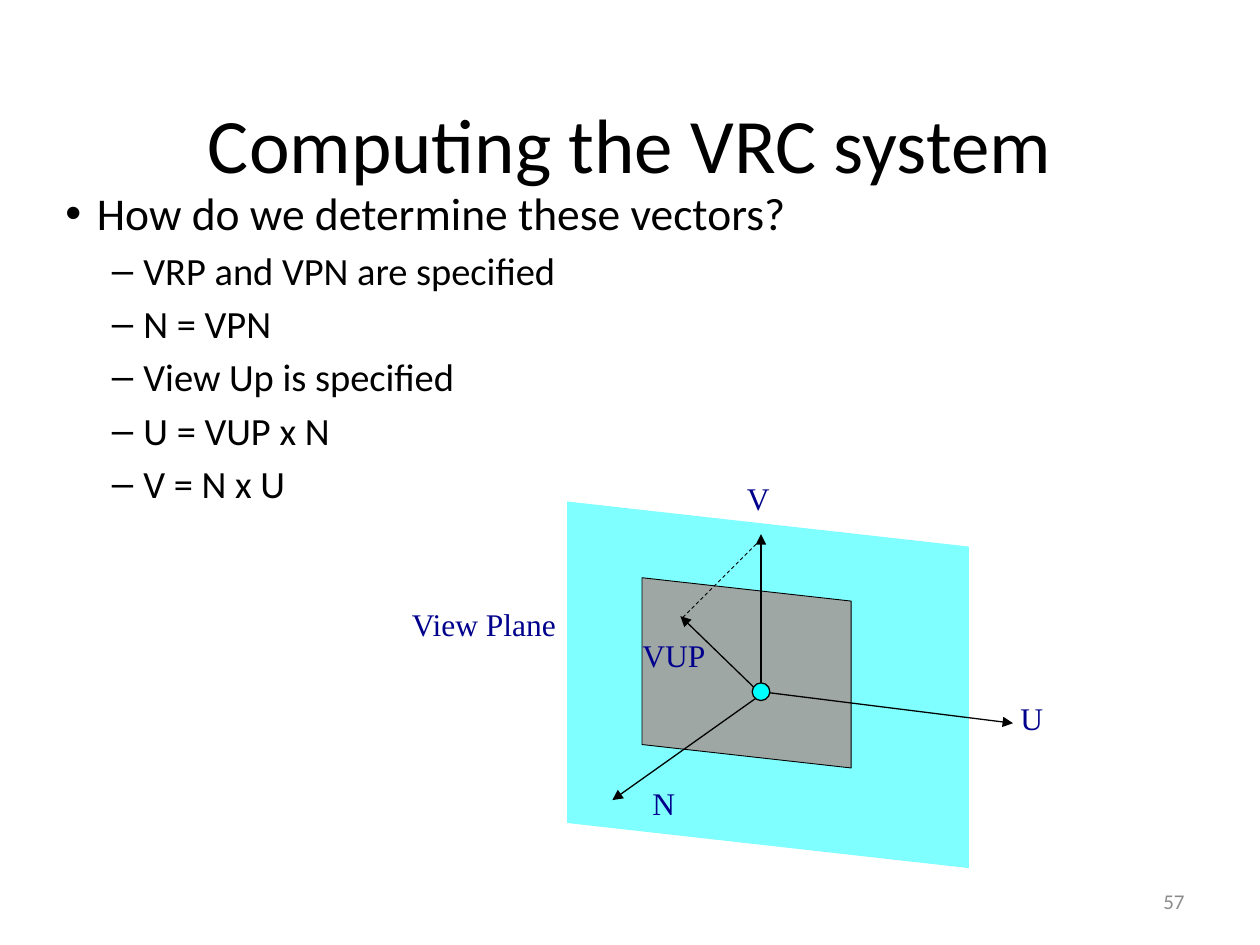
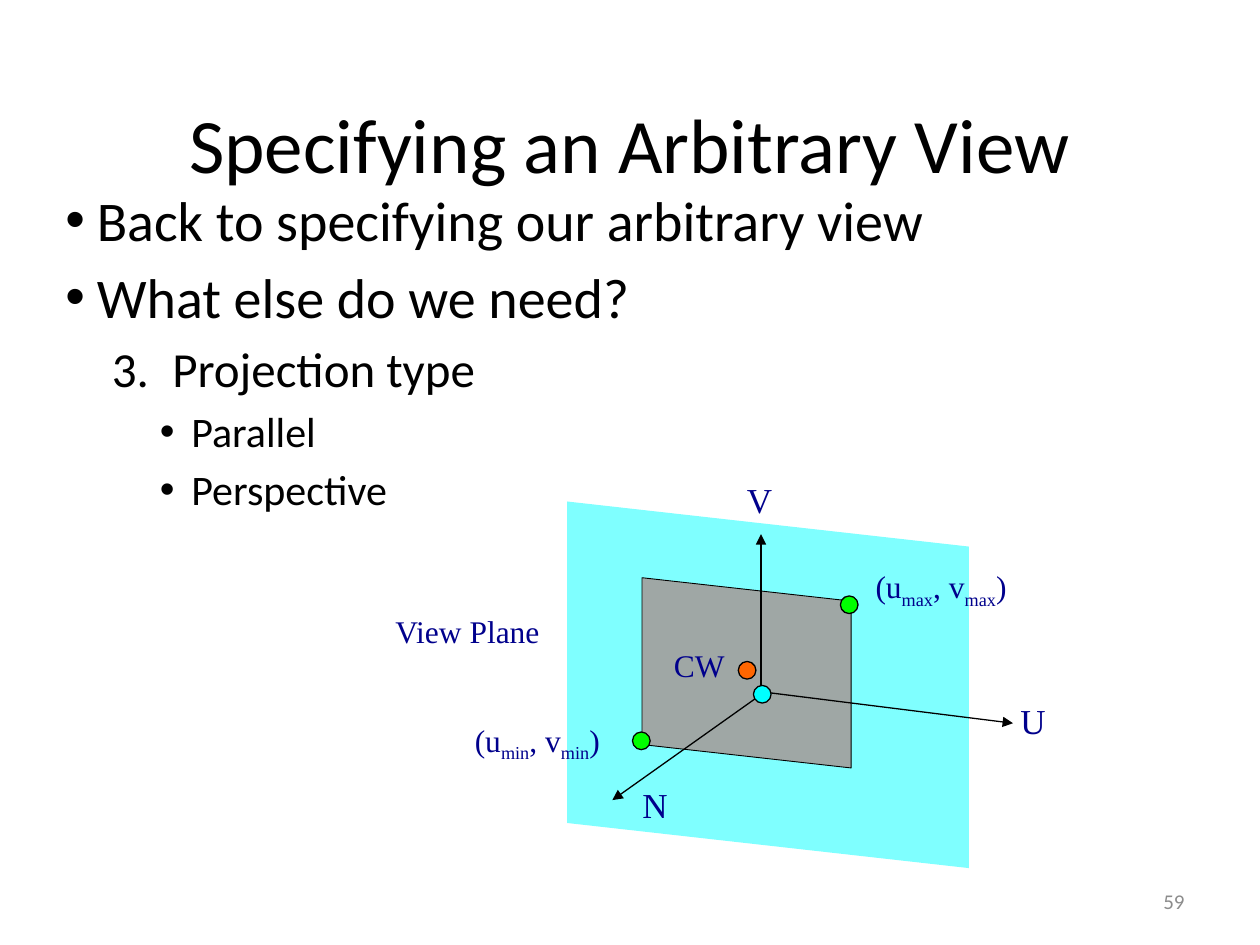
from dataclasses import dataclass

from lxml.etree import SubElement
from pptx import Presentation
from pptx.dml.color import RGBColor
from pptx.enum.dml import MSO_LINE
from pptx.enum.shapes import MSO_CONNECTOR, MSO_SHAPE
from pptx.enum.text import MSO_ANCHOR, MSO_AUTO_SIZE, PP_ALIGN
from pptx.oxml.ns import qn
from pptx.util import Inches, Pt


@dataclass(frozen=True)
class Theme:
    """Fonts, colours and type sizes shared by the slides."""

    body_font: str = "Calibri"
    label_font: str = "Times New Roman"
    ink: str = "000000"
    label: str = "00008C"
    muted: str = "8C8C8C"
    plane: str = "00FFFF"
    window: str = "C0504D"
    corner: str = "00FF00"
    center: str = "FF6600"
    title_size: int = 44
    label_size: int = 18
    axis_size: int = 20
    number_size: int = 12
    thin: float = 0.5
    medium: float = 0.75
    paragraph_gap: float = 0.185


THEME = Theme()
ORIGIN = (6.04, 5.49)
AXIS_ENDS = (((6.03, 5.52), (4.86, 6.35)), (ORIGIN, (6.04, 4.24)), (ORIGIN, (8.04, 5.74)))
AXIS_LABELS = (("N", 6.17), ("V", 3.75), ("U", 5.5))
BULLET_STYLES = {
    "bullet": (0, "•", 0.25, -0.25),
    "dash": (1, "–", 0.62, -0.25),
    "number": (1, None, 0.85, -0.48),
    "sub": (2, "•", 1, -0.25),
}


def color(value):
    """Return the colour for a hexadecimal string."""
    return RGBColor.from_string(value)


def write_text(paragraph, text, *, size, font=THEME.body_font, fill=THEME.ink,
               align=PP_ALIGN.LEFT, baseline=0):
    """Add one formatted run to a paragraph."""
    paragraph.alignment = align
    run = paragraph.add_run()
    run.text = text
    run.font.size = Pt(size)
    run.font.name = font
    run.font.color.rgb = color(fill)
    if baseline:
        run.font._element.set("baseline", str(baseline * 1000))


def add_box(slide, left, top, width, height, wrap=True):
    """Add a text box and return its text frame."""
    box = slide.shapes.add_textbox(Inches(left), Inches(top), Inches(width), Inches(height))
    box.text_frame.word_wrap = wrap
    return box.text_frame


def add_title(slide, text):
    """Place and fill the title placeholder."""
    title = slide.shapes.title
    title.left, title.top = Inches(0.5), Inches(0.3)
    title.width, title.height = Inches(9), Inches(1.25)
    frame = title.text_frame
    frame.auto_size = MSO_AUTO_SIZE.NONE
    frame.vertical_anchor = MSO_ANCHOR.BOTTOM
    write_text(frame.paragraphs[0], text, size=THEME.title_size, align=PP_ALIGN.CENTER)


def add_slide_number(slide, number):
    """Write the slide number at the bottom right."""
    frame = add_box(slide, 7.17, 6.95, 2.33, 0.4)
    frame.vertical_anchor = MSO_ANCHOR.MIDDLE
    write_text(frame.paragraphs[0], str(number), size=THEME.number_size,
               fill=THEME.muted, align=PP_ALIGN.RIGHT)


def set_bullet(paragraph, style):
    """Give a paragraph its level, indent and bullet."""
    level, character, margin, indent = BULLET_STYLES[style]
    paragraph.level = level
    properties = paragraph._p.get_or_add_pPr()
    properties.set("marL", str(Inches(margin)))
    properties.set("indent", str(Inches(indent)))
    if character:
        SubElement(properties, qn("a:buFont"), typeface="Arial")
        SubElement(properties, qn("a:buChar"), char=character)
    else:
        SubElement(properties, qn("a:buNone"))


def add_outline(slide, items):
    """Add the indented list of (style, size, text) items."""
    frame = add_box(slide, 0.42, 1.42, 9.08, 2.93)
    for index, (style, size, text) in enumerate(items):
        paragraph = frame.add_paragraph() if index else frame.paragraphs[0]
        set_bullet(paragraph, style)
        if index:
            paragraph.space_before = Pt(size * THEME.paragraph_gap)
        write_text(paragraph, text, size=size)


def add_label(slide, text, left, top, width, size=THEME.label_size):
    """Add a diagram label; odd pieces between underscores are subscripts."""
    frame = add_box(slide, left, top, width, 0.4, wrap=False)
    frame.auto_size = MSO_AUTO_SIZE.SHAPE_TO_FIT_TEXT
    for index, piece in enumerate(text.split("_")):
        write_text(frame.paragraphs[0], piece, size=size, font=THEME.label_font,
                   fill=THEME.label, baseline=-25 if index % 2 else 0)


def add_filled_shape(slide, kind, left, top, width, height, fill, line_width=None):
    """Add a preset shape with a plain fill and an optional outline."""
    shape = slide.shapes.add_shape(kind, Inches(left), Inches(top), Inches(width), Inches(height))
    shape.shadow.inherit = False
    shape.fill.solid()
    shape.fill.fore_color.rgb = color(fill)
    if line_width:
        shape.line.color.rgb = color(THEME.ink)
        shape.line.width = Pt(line_width)
    else:
        shape.line.fill.background()
    return shape


def add_plane(slide, left, top, width, height, fill, line_width=None):
    """Add a half-transparent parallelogram turned upright."""
    plane = add_filled_shape(slide, MSO_SHAPE.PARALLELOGRAM, left, top, width, height,
                             fill, line_width)
    plane.adjustments[0] = 0.123
    plane.rotation = 90
    fill_color = plane._element.spPr.find(qn("a:solidFill")).find(qn("a:srgbClr"))
    SubElement(fill_color, qn("a:alpha"), val="50000")


def add_dot(slide, center_x, center_y, fill):
    """Add an outlined dot around a point."""
    diameter = 0.14
    add_filled_shape(slide, MSO_SHAPE.OVAL, center_x - diameter / 2, center_y - diameter / 2,
                     diameter, diameter, fill, THEME.medium)


def add_line(slide, start, end, dashed=False):
    """Add a thin dashed line, or an arrow when not dashed."""
    line = slide.shapes.add_connector(MSO_CONNECTOR.STRAIGHT, *map(Inches, (*start, *end)))
    SubElement(line._element.spPr, qn("a:effectLst"))
    line.line.color.rgb = color(THEME.ink)
    line.line.width = Pt(THEME.thin if dashed else THEME.medium)
    if dashed:
        line.line.dash_style = MSO_LINE.DASH
    else:
        SubElement(line.line._get_or_add_ln(), qn("a:tailEnd"), type="triangle")


def add_view_diagram(slide, labels, axis_size, axis_lefts, extra_arrows=()):
    """Draw the view plane, its window, the labels and the axes."""
    add_plane(slide, 4.64, 3.84, 2.91, 3.19, THEME.plane)
    add_plane(slide, 5.17, 4.51, 1.51, 1.66, THEME.window, THEME.thin)
    for label in labels:
        add_label(slide, *label)
    for (name, top), left in zip(AXIS_LABELS, axis_lefts):
        add_label(slide, name, left, top, axis_size / 50 + 0.01, axis_size)
    for start, end in (*AXIS_ENDS, *extra_arrows):
        add_line(slide, start, end)


def add_content_slide(presentation, title, number, items):
    """Add a slide with title, number and outline."""
    slide = presentation.slides.add_slide(presentation.slide_layouts[5])
    add_slide_number(slide, number)
    add_title(slide, title)
    add_outline(slide, items)
    return slide


def add_vrc_slide(presentation):
    """Build the slide on computing the VRC vectors."""
    steps = ("VRP and VPN are specified", "N = VPN", "View Up is specified",
             "U = VUP x N", "V = N x U")
    items = [("bullet", 26, "How do we determine these vectors?"),
             *(("dash", 22, step) for step in steps)]
    slide = add_content_slide(presentation, "Computing the VRC system", 57, items)
    labels = (("View Plane", 3.17, 4.75, 1.36), ("VUP", 5, 5, 0.7))
    add_view_diagram(slide, labels, THEME.label_size, (5.08, 5.83, 8),
                     extra_arrows=[((6.05, 5.52), (5.4, 4.89))])
    add_line(slide, (5.42, 4.9), (6.03, 4.29), dashed=True)
    add_dot(slide, *ORIGIN, THEME.plane)


def add_arbitrary_view_slide(presentation):
    """Build the slide on specifying an arbitrary view."""
    items = (("bullet", 32, "Back to specifying our arbitrary view"),
             ("bullet", 32, "What else do we need?"),
             ("number", 28, "3.\tProjection type"),
             ("sub", 24, "Parallel"),
             ("sub", 24, "Perspective"))
    slide = add_content_slide(presentation, "Specifying an Arbitrary View", 59, items)
    labels = (("View Plane", 3.04, 4.81, 1.36), ("CW", 5.25, 5.08, 0.6),
              ("(u_min_, v_min_)", 3.67, 5.67, 1.26),
              ("(u_max_, v_max_)", 6.85, 4.45, 1.32))
    add_view_diagram(slide, labels, THEME.axis_size, (5, 5.83, 8))
    for x, y, fill in ((5.09, 5.88, THEME.corner), (6.74, 4.8, THEME.corner),
                       (5.93, 5.32, THEME.center), (6.05, 5.51, THEME.plane)):
        add_dot(slide, x, y, fill)


def main():
    """Build and save the presentation."""
    presentation = Presentation()
    presentation.slide_width, presentation.slide_height = Inches(10), Inches(7.5)
    add_vrc_slide(presentation)
    add_arbitrary_view_slide(presentation)
    presentation.save("out.pptx")


if __name__ == "__main__":
    main()
